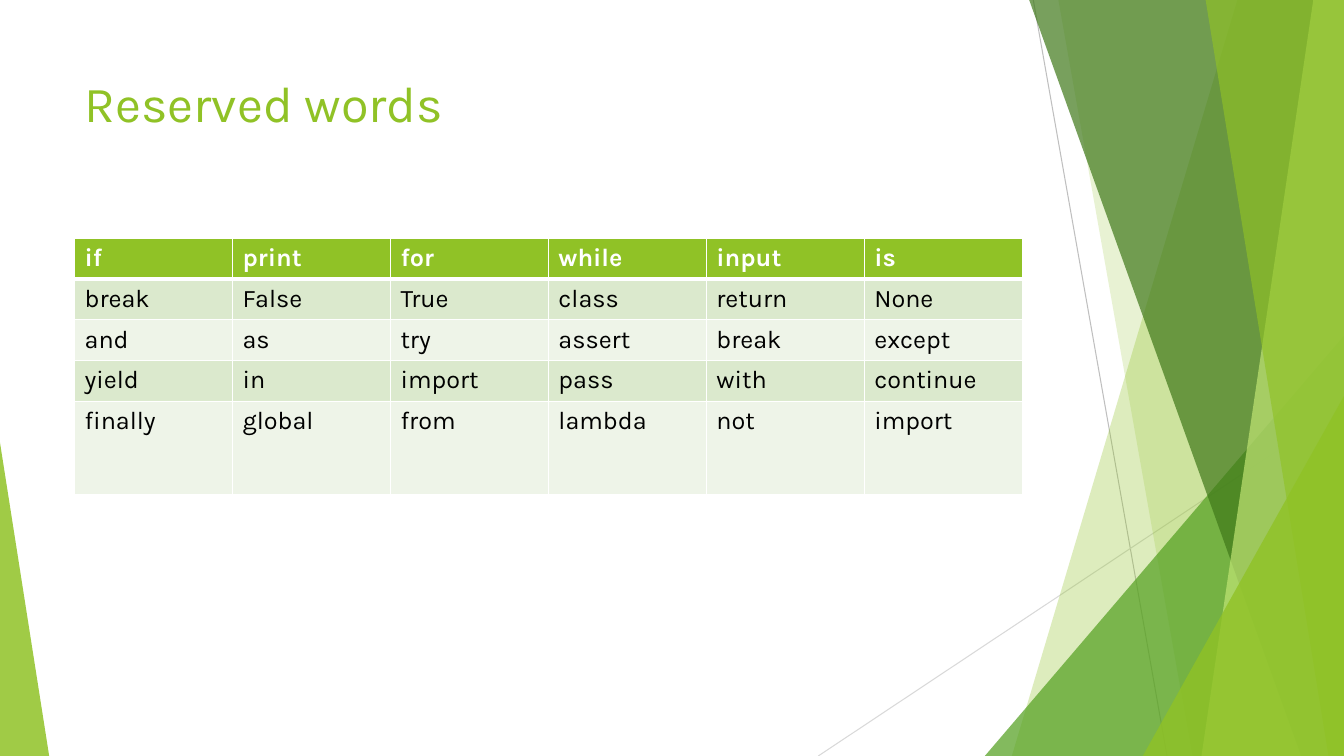
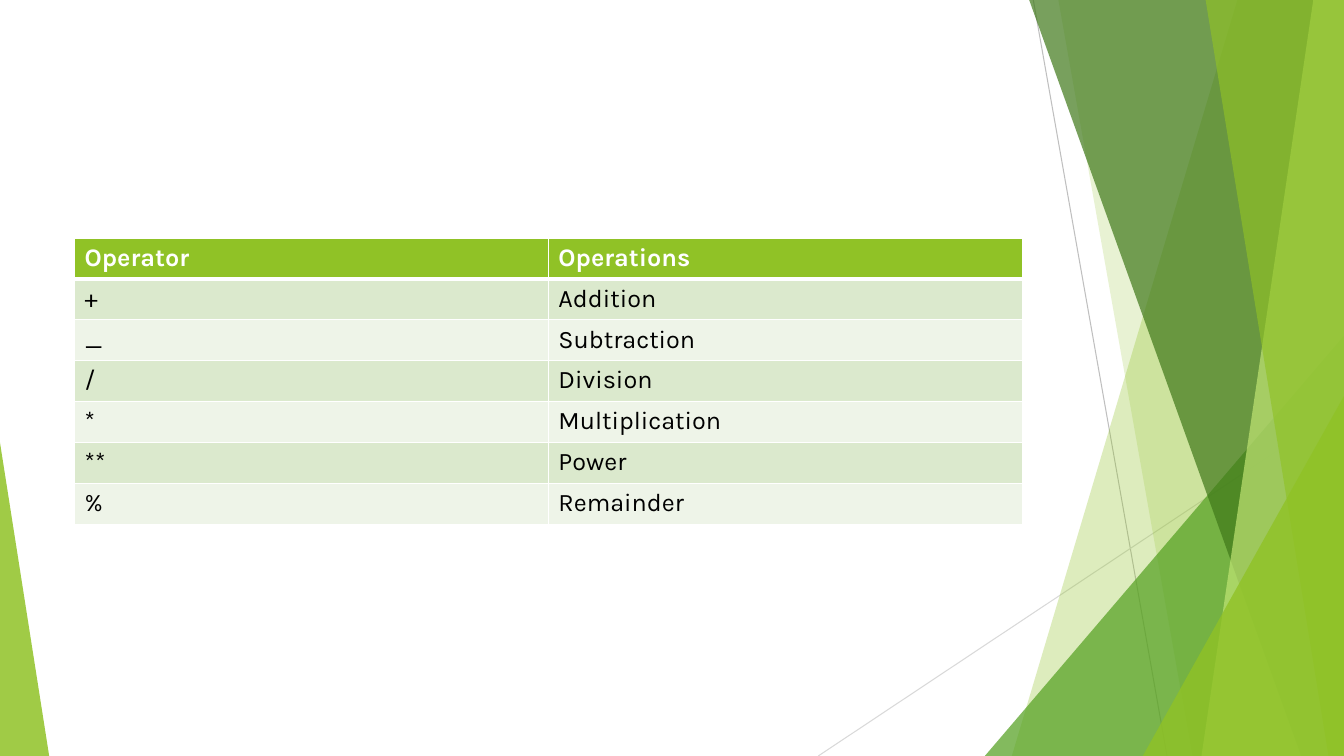
import pptx
import pptx.util
import pptx.dml.color
import pptx.enum.shapes
import pptx.enum.text
import pptx.oxml
import pptx.oxml.ns
import lxml.etree

Cm = pptx.util.Cm
Pt = pptx.util.Pt
qn = pptx.oxml.ns.qn

FONT = "Karla"
LIME, GREEN, FOREST, PALE = "90C226", "54A021", "3F7819", "C0E474"
WHITE, BLACK = "FFFFFF", "000000"
BANDS = ("DBE9CD", "EEF4E8")
WIDTH, HEIGHT, BLEED = 33.87, 19.05, -0.02
TITLE_BOX = (1.88, 1.7, 23.88, 3.66)
TABLE_BOX = (1.88, 6, 23.88)
ROW_HEIGHT = 1.03

RESERVED_WORDS = [
    ["if", "print", "for", "while", "input", "is"],
    ["break", "False", "True", "class", "return", "None"],
    ["and", "as", "try", "assert", "break", "except"],
    ["yield", "in", "import", "pass", "with", "continue"],
    ["finally", "global", "from", "lambda", "not", "import"],
]
OPERATORS = [
    ["Operator", "Operations"],
    ["+", "Addition"],
    ["_", "Subtraction"],
    ["/", "Division"],
    ["*", "Multiplication"],
    ["**", "Power"],
    ["%", "Remainder"],
]


def rgb(color):
    return pptx.dml.color.RGBColor.from_string(color)


def write(tf, text, size=18, color=BLACK, bold=False):
    p = tf.paragraphs[0]
    p.alignment = pptx.enum.text.PP_ALIGN.LEFT
    r = p.add_run()
    r.text = text
    r.font.name = FONT
    r.font.size = Pt(size)
    r.font.bold = bold
    r.font.color.rgb = rgb(color)


def paint(sp, color, opacity):
    sp.shadow.inherit = False
    sp.line.fill.background()
    sp.fill.solid()
    sp.fill.fore_color.rgb = rgb(color)
    clr = sp.fill._xPr.find(qn("a:solidFill"))[0]
    lxml.etree.SubElement(clr, qn("a:alpha")).set("val", str(opacity * 1000))
    return sp


def add_hairline(shapes, x1, y1, x2, y2, color):
    cxn = shapes.add_connector(
        pptx.enum.shapes.MSO_CONNECTOR.STRAIGHT, Cm(x1), Cm(y1), Cm(x2), Cm(y2))
    cxn.line.color.rgb = rgb(color)
    cxn.line.width = Pt(0.75)
    lxml.etree.SubElement(cxn._element.spPr, qn("a:effectLst"))
    return cxn


def add_blade(shapes, top_x, bottom_x, color, opacity):
    fb = shapes.build_freeform(Cm(top_x), Cm(BLEED))
    corners = [(WIDTH, BLEED), (WIDTH, HEIGHT), (bottom_x, HEIGHT)]
    fb.add_line_segments([(Cm(x), Cm(y)) for x, y in corners], close=True)
    return paint(fb.convert_to_shape(), color, opacity)


def add_wedge(shapes, left, top, width, apex, color, opacity):
    sp = shapes.add_shape(
        pptx.enum.shapes.MSO_SHAPE.ISOSCELES_TRIANGLE,
        Cm(left), Cm(top), Cm(width), Cm(HEIGHT - top))
    sp.adjustments[0] = apex
    return paint(sp, color, opacity)


def decorate_master(master, s):
    shapes = s.shapes
    facets = [
        add_hairline(shapes, 26.04, 0, 29.41, HEIGHT, "BFBFBF"),
        add_hairline(shapes, WIDTH, 10.24, 20.62, HEIGHT, "D9D9D9"),
        add_blade(shapes, 31.19, 25.5, LIME, 30),
        add_blade(shapes, 26.67, 30.05, LIME, 20),
        add_wedge(shapes, 24.82, 8.46, 9.05, 1, GREEN, 72),
        add_blade(shapes, 25.93, 32.79, FOREST, 70),
        add_blade(shapes, 33.1, 30.28, PALE, 70),
        add_blade(shapes, 30.38, 33.48, LIME, 65),
        add_wedge(shapes, 28.8, 9.98, 5.07, 1, LIME, 80),
        add_wedge(shapes, 0, 11.15, 1.24, 0, LIME, 85),
    ]
    tree = master.shapes._spTree
    for i, sp in enumerate(facets):
        sp._element.nvXxPr.cNvPr.set("id", str(100 + i)) if hasattr(
            sp._element, "nvXxPr") else sp._element[0][0].set("id", str(100 + i))
        tree.insert(2 + i, sp._element)


def add_title(s, text, box):
    sp = s.shapes.title
    sp.left, sp.top, sp.width, sp.height = map(Cm, box)
    tf = sp.text_frame
    tf.word_wrap = True
    tf.auto_size = pptx.enum.text.MSO_AUTO_SIZE.NONE
    tf.vertical_anchor = pptx.enum.text.MSO_ANCHOR.TOP
    write(tf, text, size=36, color=LIME)


def set_borders(cell, top, bottom):
    tcPr = cell._tc.get_or_add_tcPr()
    for side, width in (("L", 1), ("R", 1), ("T", top), ("B", bottom)):
        ln = lxml.etree.SubElement(tcPr, qn("a:ln" + side), w=str(Pt(width)))
        fill = lxml.etree.SubElement(ln, qn("a:solidFill"))
        lxml.etree.SubElement(fill, qn("a:srgbClr"), val=WHITE)


def add_grid(s, rows, box, last_height=ROW_HEIGHT):
    left, top, width = box
    n = len(rows)
    heights = [ROW_HEIGHT] * (n - 1) + [last_height]
    table = s.shapes.add_table(
        n, len(rows[0]), Cm(left), Cm(top), Cm(width), Cm(sum(heights))).table
    for row, height in zip(table.rows, heights):
        row.height = Cm(height)
    for i, words in enumerate(rows):
        header = i == 0
        for j, word in enumerate(words):
            cell = table.cell(i, j)
            set_borders(cell, 3 if i == 1 else 1, 3 if header else 1)
            cell.fill.solid()
            cell.fill.fore_color.rgb = rgb(LIME if header else BANDS[(i - 1) % 2])
            write(cell.text_frame, word, color=WHITE if header else BLACK, bold=header)


def main():
    prs = pptx.Presentation()
    prs.slide_width, prs.slide_height = Cm(WIDTH), Cm(HEIGHT)
    title_only, blank = prs.slide_layouts[5], prs.slide_layouts[6]

    s = prs.slides.add_slide(title_only)
    decorate_master(prs.slide_master, s)
    add_title(s, "Reserved words", TITLE_BOX)
    add_grid(s, RESERVED_WORDS, TABLE_BOX, last_height=2.34)

    s = prs.slides.add_slide(blank)
    add_grid(s, OPERATORS, TABLE_BOX)

    prs.save("out.pptx")


if __name__ == "__main__":
    main()
